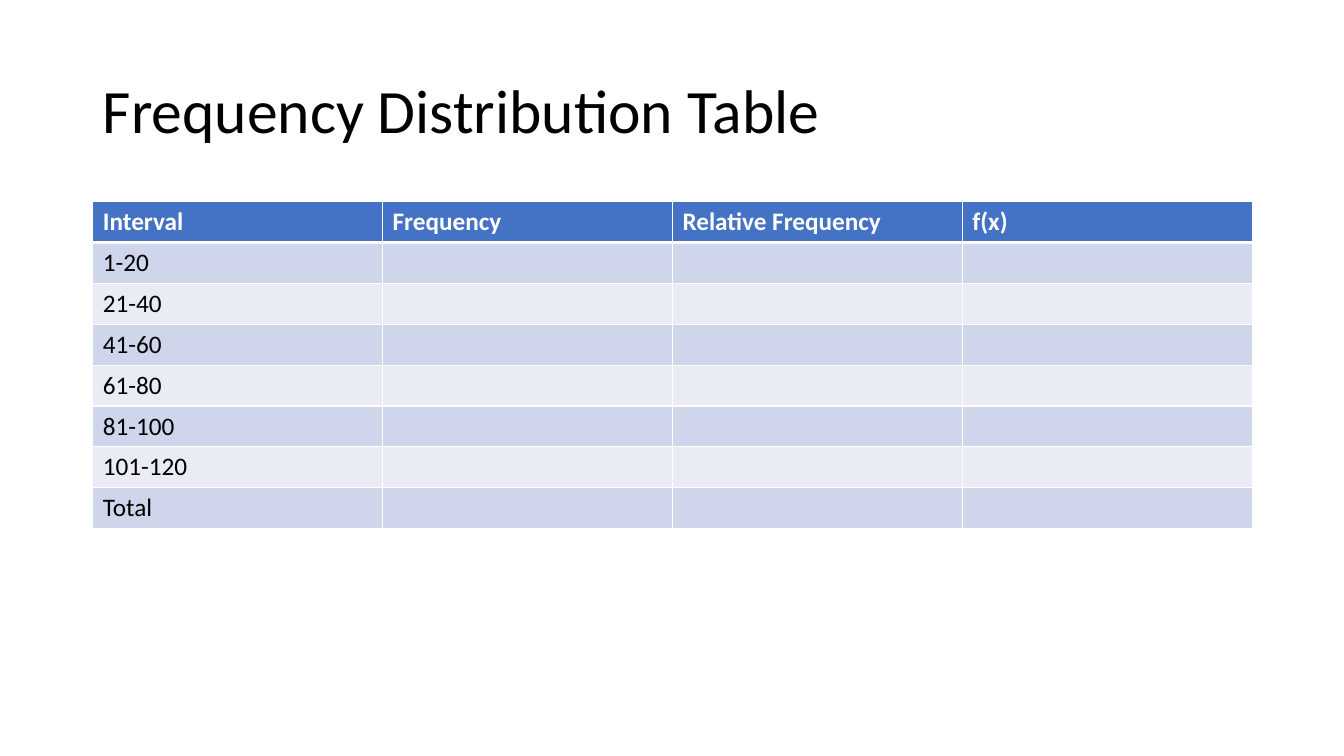
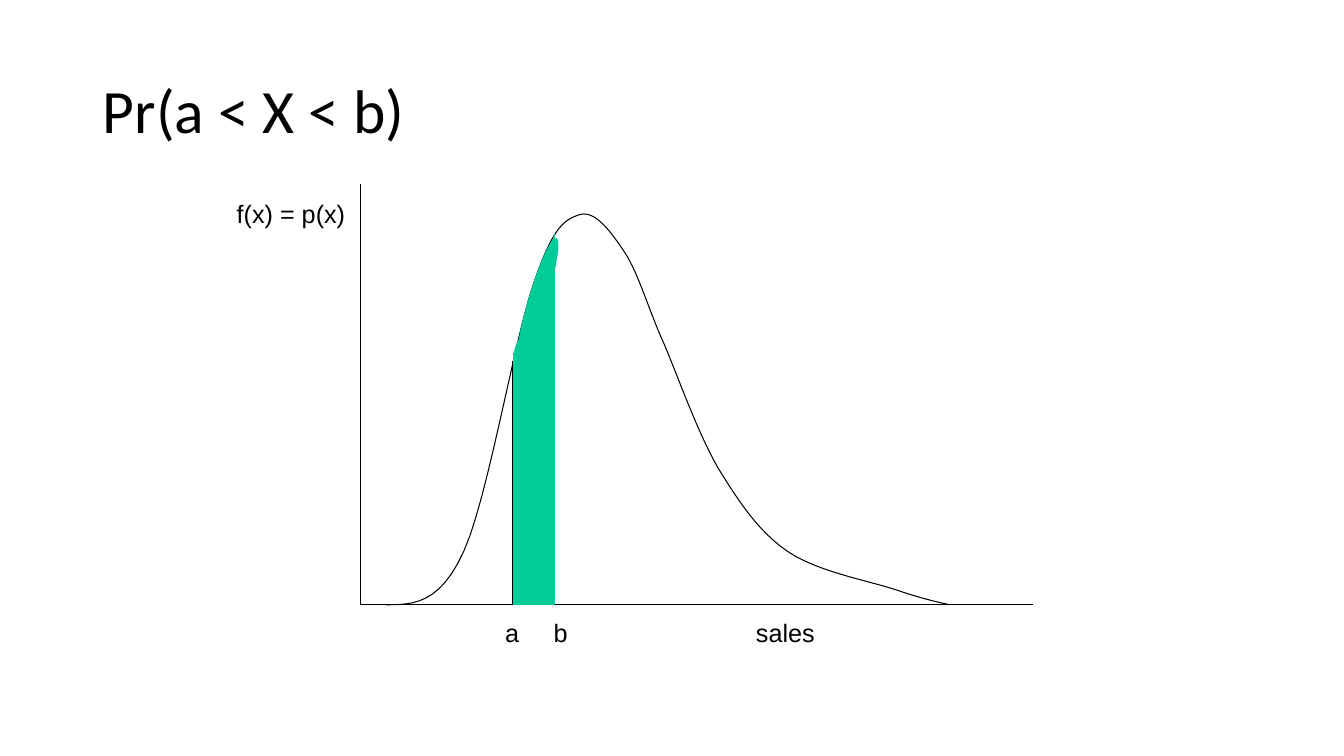
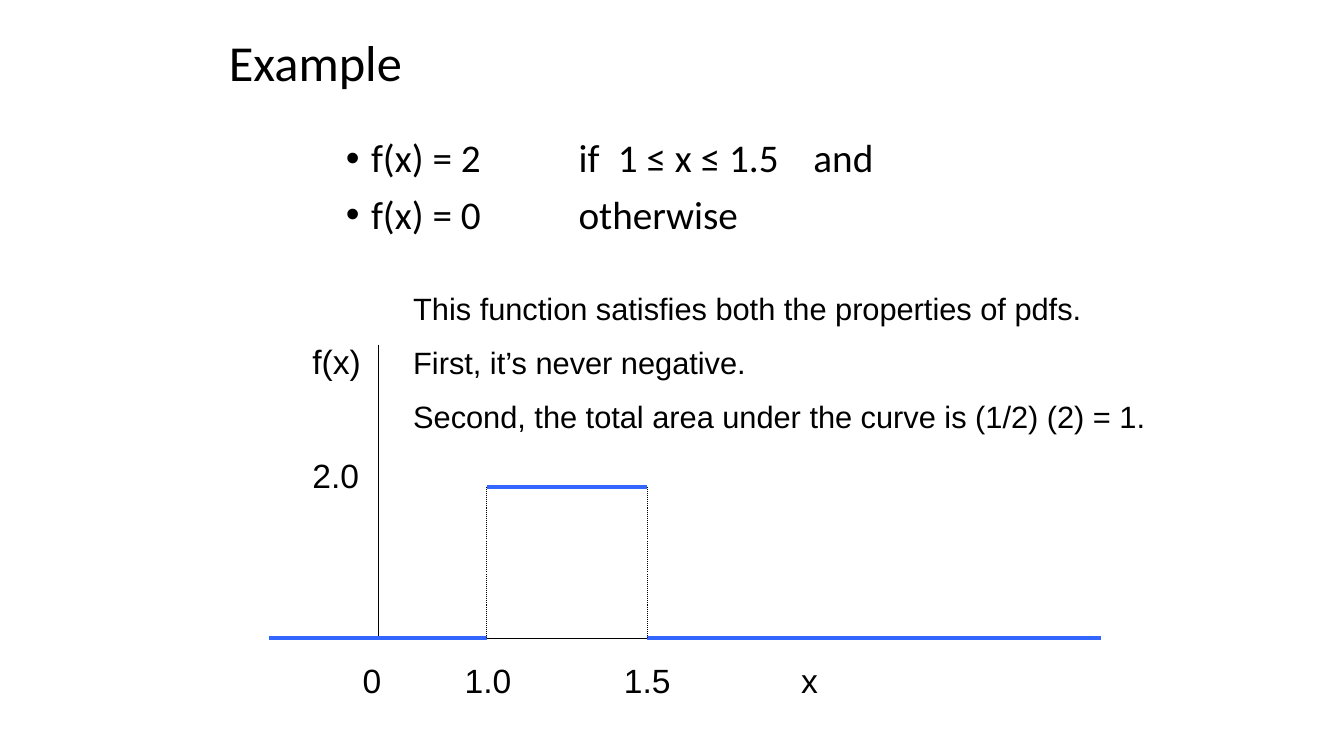
import pptx
import pptx.dml.color
import pptx.enum.dml
import pptx.enum.shapes
import pptx.enum.text
import pptx.oxml.ns
import pptx.util
from lxml import etree
from pptx.util import Inches

COLORS = {
    "text": "000000", "white": "FFFFFF", "header": "4472C4",
    "band_dark": "CFD5EA", "band_light": "E9EBF5",
    "area": "00CC99", "density": "3366FF",
}
TITLE_FONT, LABEL_FONT = "Calibri", "Arial"
TITLE_BOX = (0.92, 0.4, 11.5, 1.45)
LEFT, CENTER = pptx.enum.text.PP_ALIGN.LEFT, pptx.enum.text.PP_ALIGN.CENTER
MSO_SHAPE = pptx.enum.shapes.MSO_SHAPE

TABLE_HEADERS = ["Interval", "Frequency", "Relative Frequency", "f(x)"]
TABLE_INTERVALS = ["1-20", "21-40", "41-60", "61-80", "81-100", "101-120", "Total"]
TABLE_BOX = (0.92, 2, 11.5, 3.24)

# Each Bézier segment: two control points and an end point.
CURVE_START = (3.83, 6)
CURVE_SEGMENTS = [
    ((4.09, 6), (4.36, 6), (4.6, 5.47)),
    ((4.84, 4.94), (5.1, 3.37), (5.29, 2.82)),
    ((5.48, 2.26), (5.59, 2.18), (5.75, 2.13)),
    ((5.9, 2.08), (6.06, 2.3), (6.2, 2.51)),
    ((6.34, 2.73), (6.43, 3.07), (6.59, 3.42)),
    ((6.74, 3.78), (6.92, 4.29), (7.12, 4.64)),
    ((7.33, 4.98), (7.52, 5.27), (7.81, 5.47)),
    ((8.1, 5.67), (8.61, 5.76), (8.88, 5.85)),
    ((9.15, 5.94), (9.28, 5.97), (9.42, 6)),
]
CURVE_STEPS = 12
# Preset, box, rotation, flipped
AREA_PARTS = [
    (MSO_SHAPE.RECTANGLE, (5.17, 3.5, 0.33, 2.5), 0, False),
    (MSO_SHAPE.RIGHT_TRIANGLE, (5.17, 2.33, 0.33, 1.17), 0, True),
    (MSO_SHAPE.OVAL, (5.25, 2.34, 0.17, 1.25), 196.8, False),
    (MSO_SHAPE.OVAL, (5.03, 3.41, 0.25, 0.08), 109.3, False),
]
SALES_LABELS = [("a", 5.08), ("b", 5.56), ("sales", 7.79)]

FUNCTION_VALUES = ["f(x) = 2", "f(x) = 0"]
FUNCTION_CONDITIONS = ["if\t1 ≤ x ≤ 1.5\tand", "otherwise"]
CONDITION_TABS = (0.39, 2.33)
PROPERTIES = [
    "This function satisfies both the properties of pdfs.",
    "First, it’s never negative.",
    "Second, the total area under the curve is (1/2) (2) = 1.",
]
ORIGIN_X, STEP_START, STEP_END = 3.75, 4.83, 6.42
STEP_TOP, BASELINE = 4.83, 6.33
X_LABELS = [("0", 3.69), ("1.0", 4.84), ("1.5", 6.42), ("x", 8.03)]
Y_LABELS = [("f(x)", 3.33), ("2.0", 4.46)]


def rgb(name):
    return pptx.dml.color.RGBColor.from_string(COLORS[name])


def inches(box):
    return [Inches(length) for length in box]


def write(text_frame, lines, size, font=LABEL_FONT, align=LEFT, line_spacing=1, before=0):
    text_frame.word_wrap = True
    text_frame.auto_size = pptx.enum.text.MSO_AUTO_SIZE.NONE
    text_frame.text = "\n".join(lines)
    for paragraph in text_frame.paragraphs:
        paragraph.alignment = align
        paragraph.line_spacing = line_spacing
        paragraph.space_before = pptx.util.Pt(before)
        for run in paragraph.runs:
            run.font.name = font
            run.font.size = pptx.util.Pt(size)
            run.font.color.rgb = rgb("text")


def place(shape, box):
    shape.left, shape.top, shape.width, shape.height = inches(box)


def add_slide(presentation, title, layout=5, box=TITLE_BOX, size=44):
    slide = presentation.slides.add_slide(presentation.slide_layouts[layout])
    place(slide.shapes.title, box)
    text_frame = slide.shapes.title.text_frame
    write(text_frame, [title], size, TITLE_FONT, line_spacing=0.9)
    text_frame.vertical_anchor = pptx.enum.text.MSO_ANCHOR.MIDDLE
    return slide


def add_text(slide, lines, box, size, **style):
    text_box = slide.shapes.add_textbox(*inches(box))
    write(text_box.text_frame, lines, size, **style)
    return text_box


def add_axis_labels(slide, labels, top, size):
    width = 1
    for label, center in labels:
        add_text(slide, [label], (center - width / 2, top, width, 0.5), size, align=CENTER)


def add_line(slide, start, end, color="text", width=0.75, dotted=False):
    line = slide.shapes.add_connector(
        pptx.enum.shapes.MSO_CONNECTOR.STRAIGHT, *inches(start + end))
    line.line.color.rgb = rgb(color)
    line.line.width = pptx.util.Pt(width)
    if dotted:
        line.line.dash_style = pptx.enum.dml.MSO_LINE.ROUND_DOT
    etree.SubElement(line._element.spPr, pptx.oxml.ns.qn("a:effectLst"))


def set_borders(cell, widths):
    """Draw white borders; widths maps a side (L, R, T, B) to points."""
    properties = cell._tc.get_or_add_tcPr()
    for side, width in widths.items():
        border = etree.SubElement(properties, pptx.oxml.ns.qn("a:ln" + side),
                                  w=str(pptx.util.Pt(width)))
        fill = etree.SubElement(border, pptx.oxml.ns.qn("a:solidFill"))
        etree.SubElement(fill, pptx.oxml.ns.qn("a:srgbClr"), val=COLORS["white"])


def add_frequency_table(slide):
    rows = [TABLE_HEADERS] + [[interval, "", "", ""] for interval in TABLE_INTERVALS]
    table = slide.shapes.add_table(len(rows), len(TABLE_HEADERS), *inches(TABLE_BOX)).table
    for row_index, row in enumerate(rows):
        is_header = row_index == 0
        band = "header" if is_header else "band_dark" if row_index % 2 else "band_light"
        for column_index, text in enumerate(row):
            cell = table.cell(row_index, column_index)
            write(cell.text_frame, [text], 18, TITLE_FONT)
            for run in cell.text_frame.paragraphs[0].runs:
                run.font.bold = is_header
                run.font.color.rgb = rgb("white" if is_header else "text")
            set_borders(cell, {"L": 1, "R": 1, "T": 3 if row_index == 1 else 1,
                               "B": 3 if is_header else 1})
            cell.fill.solid()
            cell.fill.fore_color.rgb = rgb(band)


def curve_points():
    start = CURVE_START
    for first, second, end in CURVE_SEGMENTS:
        for step in range(1, CURVE_STEPS + 1):
            t = step / CURVE_STEPS
            weights = ((1 - t) ** 3, 3 * t * (1 - t) ** 2, 3 * t ** 2 * (1 - t), t ** 3)
            yield tuple(
                Inches(sum(weight * point[axis] for weight, point
                           in zip(weights, (start, first, second, end))))
                for axis in (0, 1))
        start = end


def add_density_curve(slide):
    builder = slide.shapes.build_freeform(*inches(CURVE_START))
    builder.add_line_segments(list(curve_points()), close=False)
    curve = builder.convert_to_shape()
    curve.shadow.inherit = False
    curve.fill.background()
    curve.line.color.rgb = rgb("text")
    curve.line.width = pptx.util.Pt(0.75)


def add_shaded_area(slide):
    for preset, box, rotation, flipped in AREA_PARTS:
        part = slide.shapes.add_shape(preset, *inches(box))
        part.rotation = rotation
        part.shadow.inherit = False
        part.fill.solid()
        part.fill.fore_color.rgb = rgb("area")
        part.line.color.rgb = rgb("area")
        part.line.width = pptx.util.Pt(0.75)
        if flipped:
            part._element.spPr.xfrm.set("flipH", "1")
    add_line(slide, (5.17, 6), (5.17, 3.5), "area", 12)


def build_table_slide(presentation):
    add_frequency_table(add_slide(presentation, "Frequency Distribution Table"))


def build_probability_slide(presentation):
    slide = add_slide(presentation, "Pr(a < X < b)")
    add_line(slide, (3.58, 1.83), (3.58, 6))
    add_line(slide, (3.58, 6), (10.25, 6))
    add_density_curve(slide)
    add_text(slide, ["f(x) = p(x)"], (2.25, 1.92, 1.33, 0.4), 18)
    add_axis_labels(slide, SALES_LABELS, 6.08, 18)
    add_line(slide, (5.08, 6), (5.08, 3.58))
    add_line(slide, (5.5, 6), (5.5, 2.33))
    add_shaded_area(slide)


def add_function_definition(slide):
    style = dict(size=28, font=TITLE_FONT, line_spacing=0.9, before=10)
    body = slide.placeholders[1]
    place(body, (3.33, 1.33, 2.2, 1.25))
    write(body.text_frame, FUNCTION_VALUES, **style)
    for paragraph in body.text_frame.paragraphs:
        properties = paragraph._p.get_or_add_pPr()
        properties.set("marL", str(Inches(0.25)))
        properties.set("indent", str(Inches(-0.25)))
        etree.SubElement(properties, pptx.oxml.ns.qn("a:buChar"), char="•")

    conditions = add_text(slide, FUNCTION_CONDITIONS, (5.64, 1.33, 5.27, 1.25), **style)
    properties = conditions.text_frame.paragraphs[0]._p.get_or_add_pPr()
    tabs = etree.SubElement(properties, pptx.oxml.ns.qn("a:tabLst"))
    for position in CONDITION_TABS:
        etree.SubElement(tabs, pptx.oxml.ns.qn("a:tab"), pos=str(Inches(position)), algn="l")


def build_example_slide(presentation):
    slide = add_slide(presentation, "Example", 1, (2.17, 0.3, 9, 0.7), 36)
    add_function_definition(slide)
    add_line(slide, (ORIGIN_X, 3.42), (ORIGIN_X, BASELINE))
    add_line(slide, (ORIGIN_X, BASELINE), (7.92, BASELINE))
    add_axis_labels(slide, X_LABELS, 6.5, 24)
    for label, top in Y_LABELS:
        add_text(slide, [label], (3, top, 0.75, 0.5), 24)
    for start, end, height in [(2.67, STEP_START, BASELINE), (STEP_END, 10.92, BASELINE),
                               (STEP_START, STEP_END, STEP_TOP)]:
        add_line(slide, (start, height), (end, height), "density", 3)
    for x in (STEP_START, STEP_END):
        add_line(slide, (x, STEP_TOP), (x, BASELINE), dotted=True)
    add_text(slide, PROPERTIES, (4, 2.83, 7.5, 1.57), 22, before=12)


def main():
    presentation = pptx.Presentation()
    presentation.slide_width, presentation.slide_height = Inches(13.33), Inches(7.5)
    build_table_slide(presentation)
    build_probability_slide(presentation)
    build_example_slide(presentation)
    presentation.save("out.pptx")


if __name__ == "__main__":
    main()
